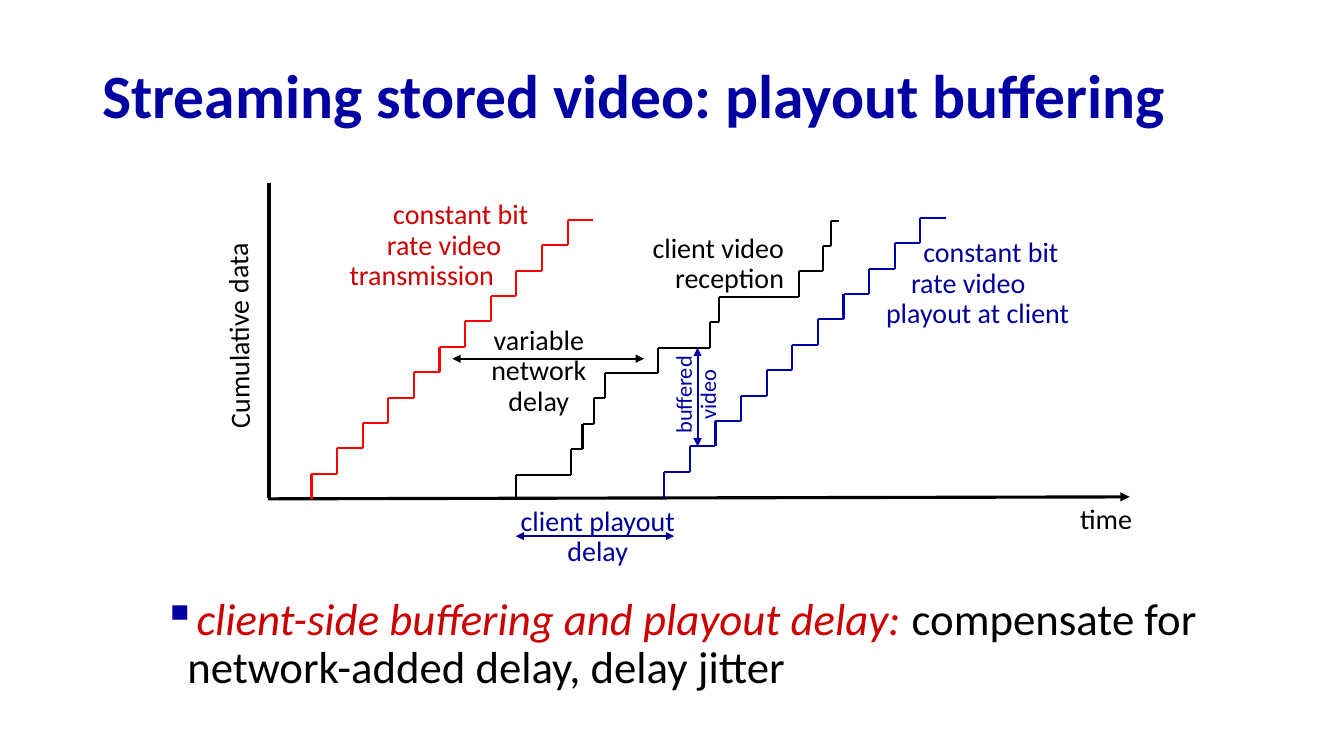
from dataclasses import dataclass

from lxml import etree
from pptx import Presentation
from pptx.dml.color import RGBColor as RGB
from pptx.enum.shapes import MSO_CONNECTOR as CONN
from pptx.enum.text import MSO_ANCHOR as ANCHOR, PP_ALIGN as ALIGN
from pptx.oxml.ns import qn
from pptx.util import Cm, Pt


@dataclass(frozen=True)
class Theme:
    font: str = "Calibri"
    blue: str = "0000A3"
    label_blue: str = "000099"
    delay_blue: str = "010086"
    red: str = "CC0000"
    bright_red: str = "FF0000"
    black: str = "000000"
    title: int = 44
    body: int = 32
    label: int = 20
    small: int = 16
    axis: float = 2.25
    line: float = 1.5


T = Theme()
STEPS = 11
RISE = 0.64
EVEN_STEPS = [7.1 / STEPS] * STEPS
RECEPTION_STEPS = [1.4, 0.28, 0.28, 0.28, 1.35, 1.3, 0.23, 2.01, 0.61, 0.2, 0.2]


def style(r, size, color, bold=False, italic=False):
    f = r.font
    f.name, f.size, f.bold, f.italic = T.font, Pt(size), bold, italic
    f.color.rgb = RGB.from_string(color)


def add_text(s, box, lines, size, color, align=ALIGN.LEFT, wrap=False,
             indents=None, bold=False, rotation=0, anchor=ANCHOR.TOP):
    """Text box with one paragraph per line, each with its own left indent."""
    sp = s.shapes.add_textbox(*map(Cm, box))
    sp.rotation = rotation
    tf = sp.text_frame
    tf.word_wrap, tf.vertical_anchor = wrap, anchor
    tf.text = "\n".join(lines)
    for p, indent in zip(tf.paragraphs, indents or [0] * len(lines)):
        p.alignment, p.line_spacing = align, 0.9
        if indent:
            p._p.get_or_add_pPr().set("marL", str(Cm(indent)))
        for r in p.runs:
            style(r, size, color, bold)
    return tf


def add_line(s, start, end, color, width=T.line, arrows=()):
    """Straight line; arrows lists the ends ("headEnd", "tailEnd") with a tip."""
    cx = s.shapes.add_connector(CONN.STRAIGHT, *map(Cm, (*start, *end)))
    cx.line.color.rgb = RGB.from_string(color)
    cx.line.width = Pt(width)
    for tip in arrows:
        etree.SubElement(cx.line._get_or_add_ln(), qn(f"a:{tip}"), type="triangle")
    etree.SubElement(cx._element.spPr, qn("a:effectLst"))


def add_double_arrow(s, start, end, color):
    add_line(s, start, end, color, arrows=("headEnd", "tailEnd"))


def add_staircase(s, x, y, widths, color):
    """Cumulative curve: every step rises by RISE, then runs for its width."""
    for width in widths:
        add_line(s, (x, y), (x, y - RISE), color)
        y -= RISE
        add_line(s, (x, y), (x + width, y), color)
        x += width


def add_bullet(s, box, term, rest):
    tf = add_text(s, box, [term], T.body, T.red, wrap=True)
    p = tf.paragraphs[0]
    pPr = p._p.get_or_add_pPr()
    pPr.set("marL", str(Cm(0.99)))
    pPr.set("indent", str(Cm(-0.61)))
    clr = etree.SubElement(pPr, qn("a:buClr"))
    etree.SubElement(clr, qn("a:srgbClr"), val=T.blue)
    etree.SubElement(pPr, qn("a:buChar"), char="▪")
    p.runs[0].font.italic = True
    r = p.add_run()
    r.text = rest
    style(r, T.body, T.black)


def main():
    prs = Presentation()
    prs.slide_width, prs.slide_height = Cm(33.87), Cm(19.05)
    s = prs.slides.add_slide(prs.slide_layouts[6])

    add_text(s, (2.33, 1.25, 29.21, 2.49), ["Streaming stored video: playout buffering"],
             T.title, T.blue, wrap=True, bold=True, anchor=ANCHOR.MIDDLE)

    # Axes
    add_line(s, (6.78, 4.62), (6.78, 12.55), T.black, T.axis)
    add_line(s, (6.76, 12.57), (28.47, 12.52), T.black, T.axis, ["tailEnd"])
    add_text(s, (3.33, 7.82, 5.44, 1.02), ["Cumulative data"], T.label, T.black,
             wrap=True, rotation=269.4)
    add_text(s, (26.97, 12.6, 1.85, 1.02), ["time"], T.label, T.black)

    # Transmission
    add_staircase(s, 7.85, 12.58, EVEN_STEPS, T.bright_red)
    add_text(s, (8.56, 4.93, 5.23, 2.57), ["constant bit", "rate video", "transmission"],
             T.label, T.red, wrap=True, indents=[1.1, 0.94, 0])

    # Reception
    add_staircase(s, 13, 12.6, RECEPTION_STEPS, T.black)
    add_text(s, (12.12, 8.1, 2.92, 2.57), ["variable", "network", "delay"],
             T.label, T.black, ALIGN.CENTER)
    add_double_arrow(s, (11.4, 9.04), (16.23, 9.04), T.black)
    add_text(s, (16.15, 5.77, 3.86, 1.8), ["client video", "reception"],
             T.label, T.black, ALIGN.RIGHT)

    # Playout
    add_staircase(s, 16.74, 12.53, EVEN_STEPS, T.blue)
    add_text(s, (21.92, 5.89, 5.33, 2.57), ["constant bit", "rate video", "playout at client"],
             T.label, T.label_blue, wrap=True, indents=[1.1, 0.79, 0.16])
    add_text(s, (12.73, 12.65, 4.67, 1.8), ["client playout", "delay"],
             T.label, T.label_blue, ALIGN.CENTER, wrap=True)
    add_double_arrow(s, (13, 13.51), (16.99, 13.51), T.delay_blue)

    # Buffered video
    add_double_arrow(s, (17.58, 11.25), (17.58, 8.76), T.blue)
    add_text(s, (16.33, 9.2, 2.49, 1.5), ["buffered", "video"],
             T.small, T.blue, ALIGN.CENTER, rotation=270)

    # Takeaway
    add_bullet(s, (3.48, 14.91, 29.21, 2.46), "client-side buffering and playout delay: ",
               "compensate for network-added delay, delay jitter")

    prs.save("out.pptx")


if __name__ == "__main__":
    main()
